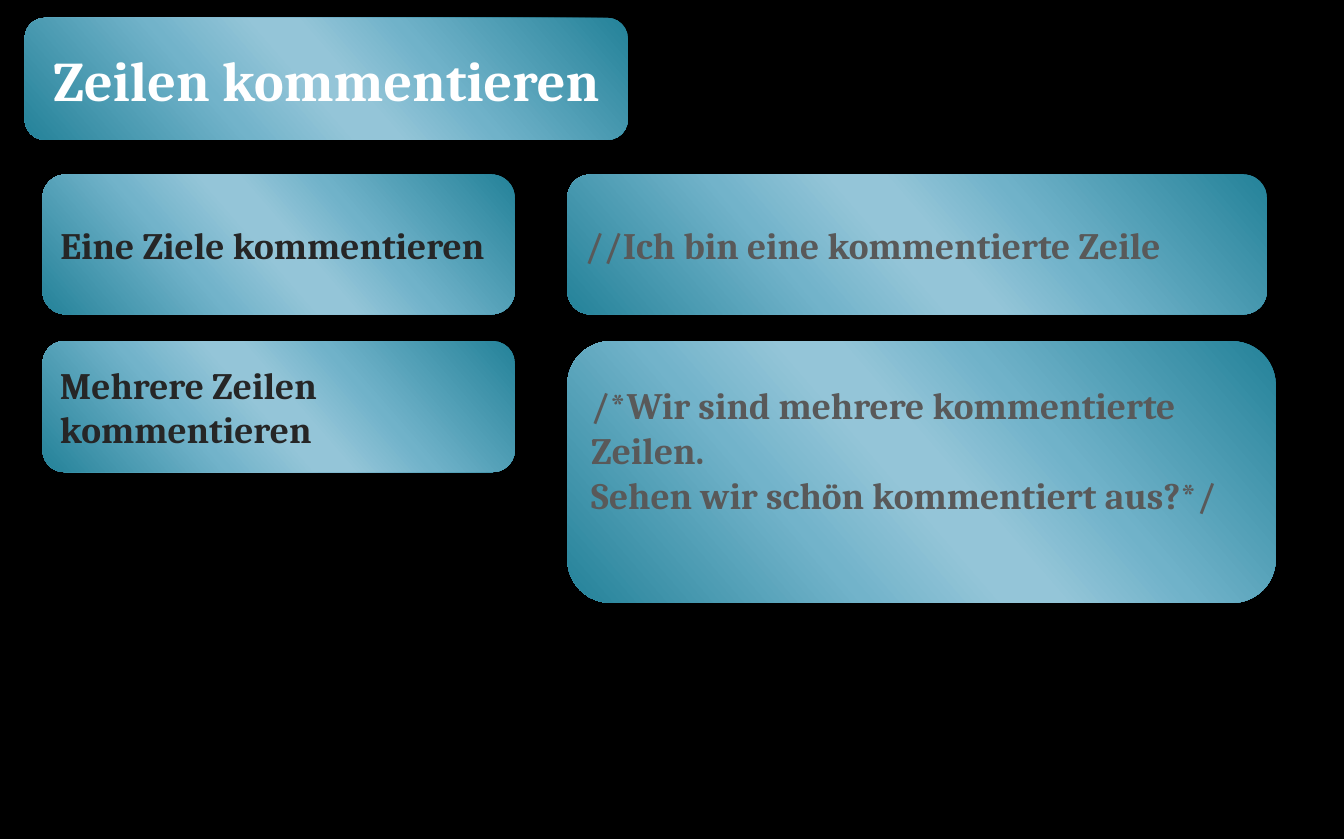
from copy import deepcopy

from pptx import Presentation
from pptx.dml.color import RGBColor
from pptx.enum.shapes import MSO_SHAPE
from pptx.enum.text import MSO_ANCHOR, MSO_AUTO_SIZE, PP_ALIGN
from pptx.oxml.ns import qn
from pptx.util import Inches, Pt

ROUNDED = MSO_SHAPE.ROUNDED_RECTANGLE
MIDDLE = MSO_ANCHOR.MIDDLE
NO_AUTOFIT = MSO_AUTO_SIZE.NONE
LEFT, CENTER = PP_ALIGN.LEFT, PP_ALIGN.CENTER
TITLE_ONLY = 5

COLORS = {
    "background": "000000",
    "title": "FFFFFF",
    "label": "262626",
    "code": "595959",
}
GRADIENT = [
    (0, "248299"), (33, "70B2C9"), (47, "94C5D8"),
    (53, "94C5D8"), (68, "72B3CA"), (100, "248299"),
]
GRADIENT_ANGLE = 221

TITLE = "Zeilen kommentieren"
TITLE_BOX = (0.22, 0.16, 5.39, 1.09)

LABEL_LEFT, LABEL_WIDTH = 0.38, 4.22
CODE_LEFT = 5.07
# Each row: top, label, label height, code lines, code width, code height, bottom inset
ROWS = [
    (1.56, "Eine Ziele kommentieren", 1.25,
     ["//Ich bin eine kommentierte Zeile"], 6.25, 1.25, 0.05),
    (3.05, "Mehrere Zeilen kommentieren", 1.17,
     ["/*Wir sind mehrere kommentierte Zeilen.",
      "Sehen wir schön kommentiert aus?*/"], 6.33, 2.34, 0.45),
]


def fill_gradient(shape):
    """Fill the shape with all GRADIENT stops; python-pptx alone offers two."""
    shape.fill.gradient()
    shape.fill.gradient_angle = GRADIENT_ANGLE
    stop_list = shape.fill._fill._gradFill.find(qn("a:gsLst"))
    for _ in range(len(GRADIENT) - len(stop_list)):
        stop_list.append(deepcopy(stop_list[0]))
    for stop, (percent, color) in zip(shape.fill.gradient_stops, GRADIENT):
        stop.position = percent / 100
        stop.color.rgb = RGBColor.from_string(color)


def add_panel(slide, box):
    panel = slide.shapes.add_shape(ROUNDED, *map(Inches, box))
    fill_gradient(panel)
    panel.line.fill.background()
    panel.shadow.inherit = False
    return panel


def write(shape, lines, role, size, alignment=LEFT, bottom_inset=0.05):
    frame = shape.text_frame
    frame.text = "\n".join(lines)
    frame_format = {
        "word_wrap": True,
        "auto_size": NO_AUTOFIT,
        "vertical_anchor": MIDDLE,
        "margin_bottom": Inches(bottom_inset),
    }
    for name, value in frame_format.items():
        setattr(frame, name, value)
    for paragraph in frame.paragraphs:
        paragraph.alignment = alignment
        font = paragraph.runs[0].font
        for name, value in {"name": "Cambria", "size": Pt(size), "bold": True}.items():
            setattr(font, name, value)
        font.color.rgb = RGBColor.from_string(COLORS[role])


def add_title(slide):
    """Lay the title placeholder over its rounded panel."""
    add_panel(slide, TITLE_BOX)
    title = slide.shapes.title
    for name, value in zip(("left", "top", "width", "height"), TITLE_BOX):
        setattr(title, name, Inches(value))
    write(title, [TITLE], "title", 36, CENTER)
    slide.shapes._spTree.append(title._element)


def main():
    deck = Presentation()
    deck.slide_width, deck.slide_height = Inches(12.01), Inches(7.5)
    slide = deck.slides.add_slide(deck.slide_layouts[TITLE_ONLY])
    background = slide.background.fill
    background.solid()
    background.fore_color.rgb = RGBColor.from_string(COLORS["background"])

    add_title(slide)
    for top, label, label_height, code, code_width, code_height, inset in ROWS:
        label_panel = add_panel(slide, (LABEL_LEFT, top, LABEL_WIDTH, label_height))
        write(label_panel, [label], "label", 24)
        code_panel = add_panel(slide, (CODE_LEFT, top, code_width, code_height))
        write(code_panel, code, "code", 24, bottom_inset=inset)
    deck.save("out.pptx")


if __name__ == "__main__":
    main()
